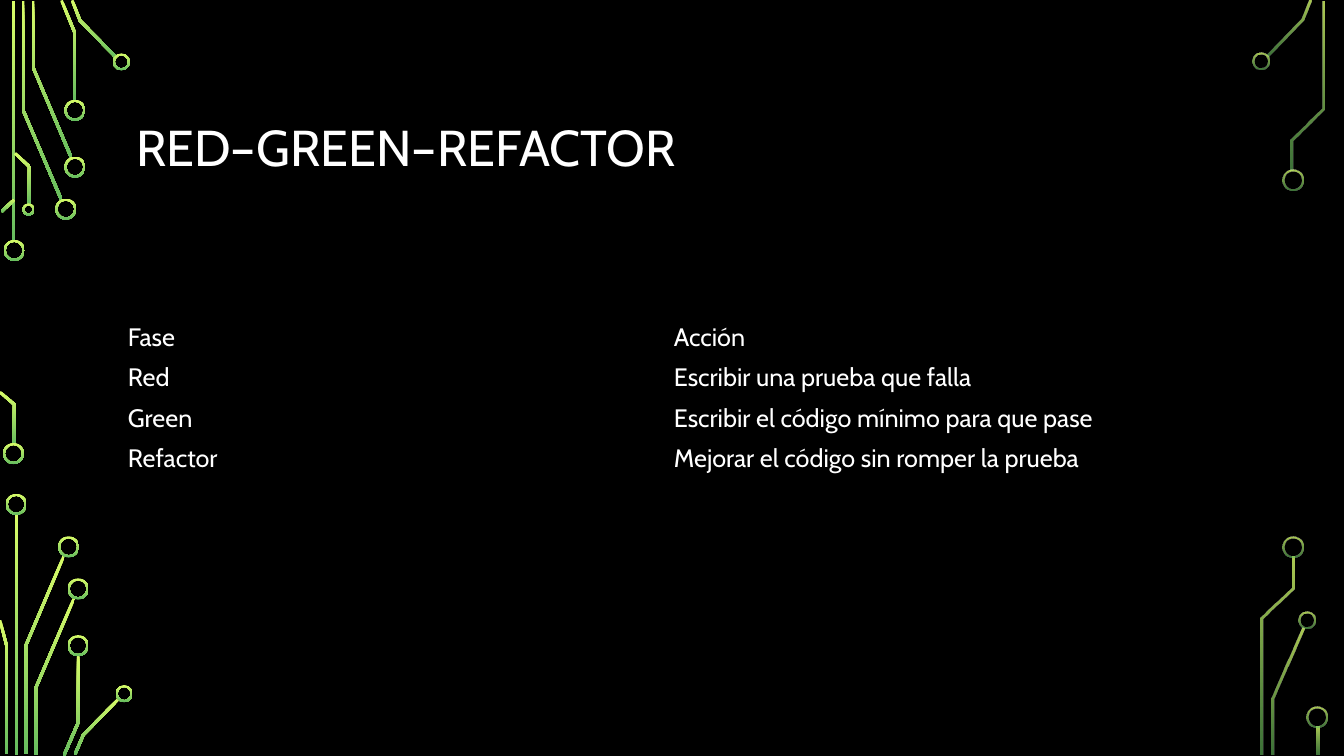
from dataclasses import dataclass
from itertools import pairwise
from math import hypot
from typing import Any

from lxml import etree
from pptx import Presentation
from pptx import util as u
from pptx.dml import color
from pptx.enum import shapes, text
from pptx.oxml import ns

Point = tuple[float, float]

WIDTH, HEIGHT = 33.87, 19.05
TRACE_WIDTH = 0.07
RING_WIDTH = 0.05
FONT = "Cabin"
WHITE, BLACK = "FFFFFF", "000000"
LIME, GREEN = "D8FC68", "66BD5F"
OPAQUE, FADED = (100, 100), (80, 60)
NO_STYLE = "{2D5ABB26-0587-4C30-8999-92F81FD0307C}"

TITLE = "RED–GREEN–REFACTOR"
PHASES = [
    ("Fase", "Acción"),
    ("Red", "Escribir una prueba que falla"),
    ("Green", "Escribir el código mínimo para que pase"),
    ("Refactor", "Mejorar el código sin romper la prueba"),
]


@dataclass
class Ring:
    x: float
    y: float
    size: float = 0.53


@dataclass
class Stem:
    x: float
    top: float
    bottom: float


@dataclass
class Trace:
    points: list[Point]


@dataclass
class Circuit:
    alphas: tuple[int, int]
    stems: list[Stem]
    traces: list[Trace]
    rings: list[Ring]


CIRCUITS = [
    Circuit(
        OPAQUE,
        [Stem(0.34, 0.03, 6.1), Stem(0.42, 12.95, 19.02)],
        [
            Trace([(0.58, 0.03), (0.58, 2.77), (1.55, 5.04)]),
            Trace([(0.83, 0.03), (0.83, 1.69), (1.8, 3.98)]),
            Trace([(1.55, 0.01), (1.89, 0.84), (1.89, 2.54)]),
            Trace([(1.82, 0.01), (2.02, 0.52), (2.93, 1.45)]),
            Trace([(0.04, 5.33), (0.36, 5.03)]),
            Trace([(0, 9.88), (0.36, 10.19), (0.36, 11.2)]),
            Trace([(0.38, 3.86), (0.74, 4.2), (0.74, 5.16)]),
            Trace([(0.65, 19), (0.65, 16.27), (1.61, 14.01)]),
            Trace([(0, 15.63), (0.17, 16.28), (0.17, 19)]),
            Trace([(0.9, 19.02), (0.9, 17.34), (1.87, 15.07)]),
            Trace([(1.61, 19.04), (1.97, 18.21), (1.97, 16.51)]),
            Trace([(1.89, 19.01), (2.1, 18.52), (3, 17.6)]),
        ],
        [
            Ring(0.36, 6.31), Ring(0.34, 11.43), Ring(1.66, 5.27),
            Ring(1.89, 4.21), Ring(1.89, 2.78), Ring(3.06, 1.56, 0.43),
            Ring(0.72, 5.28, 0.31), Ring(0.41, 12.71), Ring(1.73, 13.78),
            Ring(1.97, 14.84), Ring(1.97, 16.27), Ring(3.13, 17.48, 0.43),
        ],
    ),
    Circuit(
        FADED,
        [Stem(33.21, 18.31, 19.02)],
        [
            Trace([(31.93, 1.41), (32.83, 0.5), (33.03, 0.01)]),
            Trace([(32.07, 19.02), (32.07, 17.61), (32.84, 15.84)]),
            Trace([(32.56, 4.29), (32.56, 3.52), (33.34, 2.73), (33.34, 0.03)]),
            Trace([(31.81, 19.02), (31.81, 15.58), (32.6, 14.82), (32.6, 14.02)]),
        ],
        [
            Ring(31.79, 1.54, 0.43), Ring(32.58, 4.54), Ring(32.93, 15.63, 0.43),
            Ring(32.59, 13.78), Ring(33.18, 18.08),
        ],
    ),
]


def rgb(value: str) -> color.RGBColor:
    return color.RGBColor.from_string(value)


def apply(target: Any, values: dict[str, Any]) -> None:
    for name, value in values.items():
        setattr(target, name, value)


def paint(s: Any, alphas: tuple[int, int]) -> None:
    s.shadow.inherit = False
    s.line.fill.background()
    s.fill.gradient()
    s.fill.gradient_angle = 270
    for stop, shade in zip(s.fill.gradient_stops, (LIME, GREEN)):
        stop.color.rgb = rgb(shade)
    for node, alpha in zip(s._element.spPr.iter(ns.qn("a:srgbClr")), alphas):
        if alpha < 100:
            etree.SubElement(node, ns.qn("a:alpha"), val=str(alpha * 1000))


def outline(points: list[Point]) -> list[Point]:
    normals = []
    for (x1, y1), (x2, y2) in pairwise(points):
        length = hypot(x2 - x1, y2 - y1)
        normals.append(((y1 - y2) / length, (x2 - x1) / length))
    left, right = [], []
    for (x, y), (ax, ay), (bx, by) in zip(
        points, normals[:1] + normals, normals + normals[-1:]
    ):
        reach = TRACE_WIDTH / 2 / (1 + ax * bx + ay * by)
        dx, dy = (ax + bx) * reach, (ay + by) * reach
        left.append((x + dx, y + dy))
        right.append((x - dx, y - dy))
    return left + right[::-1]


def draw_trace(slide: Any, trace: Trace) -> Any:
    start, *rest = [(u.Cm(x), u.Cm(y)) for x, y in outline(trace.points)]
    builder = slide.shapes.build_freeform(*start)
    builder.add_line_segments(rest, close=True)
    return builder.convert_to_shape()


def draw_stem(slide: Any, stem: Stem) -> Any:
    return slide.shapes.add_shape(
        shapes.MSO_SHAPE.RECTANGLE, u.Cm(stem.x - TRACE_WIDTH / 2), u.Cm(stem.top),
        u.Cm(TRACE_WIDTH), u.Cm(stem.bottom - stem.top),
    )


def draw_ring(slide: Any, ring: Ring) -> Any:
    size = u.Cm(ring.size)
    s = slide.shapes.add_shape(
        shapes.MSO_SHAPE.DONUT, u.Cm(ring.x - ring.size / 2),
        u.Cm(ring.y - ring.size / 2), size, size,
    )
    s.adjustments[0] = RING_WIDTH / ring.size
    return s


def draw_circuit(slide: Any, circuit: Circuit) -> None:
    for draw, parts in (
        (draw_stem, circuit.stems),
        (draw_trace, circuit.traces),
        (draw_ring, circuit.rings),
    ):
        for part in parts:
            paint(draw(slide, part), circuit.alphas)


def write(p: Any, content: str, size: int) -> None:
    r = p.add_run()
    r.text = content
    apply(r.font, {"name": FONT, "size": u.Pt(size)})
    r.font.color.rgb = rgb(WHITE)


def draw_title(slide: Any) -> None:
    s = slide.shapes.add_textbox(u.Cm(3.18), u.Cm(1.73), u.Cm(27.51), u.Cm(4.11))
    tf = s.text_frame
    apply(tf, {"word_wrap": True, "vertical_anchor": text.MSO_ANCHOR.MIDDLE})
    p = tf.paragraphs[0]
    p.line_spacing = 0.9
    write(p, TITLE, 36)


def draw_phases(slide: Any) -> None:
    table = slide.shapes.add_table(
        len(PHASES), 2, u.Cm(2.97), u.Cm(7.98), u.Cm(27.52), u.Cm(4.08)
    ).table
    apply(table, {"first_row": False, "horz_banding": False})
    table._tbl.tblPr.find(ns.qn("a:tableStyleId")).text = NO_STYLE
    for row, phase in zip(table.rows, PHASES):
        for cell, content in zip(row.cells, phase):
            cell.fill.background()
            cell.vertical_anchor = text.MSO_ANCHOR.MIDDLE
            write(cell.text_frame.paragraphs[0], content, 18)


def main() -> None:
    prs = Presentation()
    apply(prs, {"slide_width": u.Cm(WIDTH), "slide_height": u.Cm(HEIGHT)})
    slide = prs.slides.add_slide(prs.slide_layouts[6])
    slide.background.fill.solid()
    slide.background.fill.fore_color.rgb = rgb(BLACK)
    for circuit in CIRCUITS:
        draw_circuit(slide, circuit)
    draw_title(slide)
    draw_phases(slide)
    prs.save("out.pptx")


if __name__ == "__main__":
    main()
